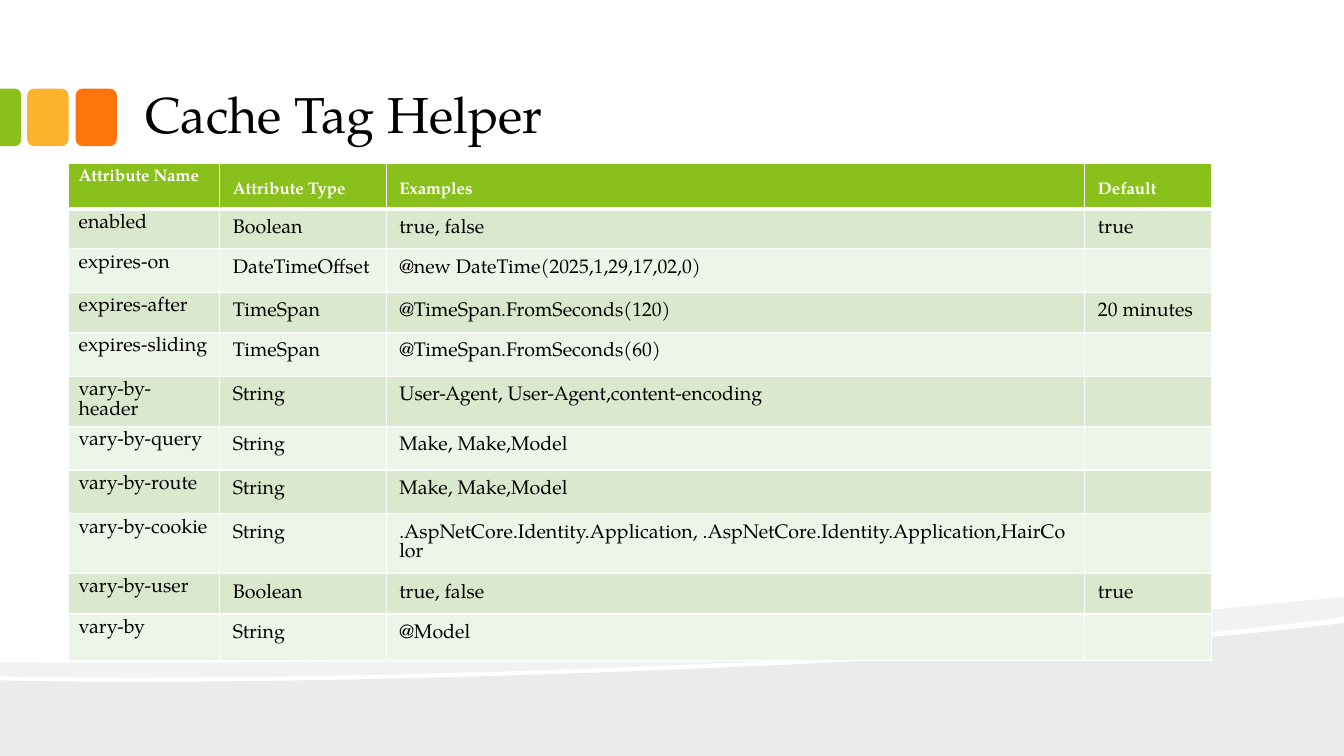
"""Build the Cache Tag Helper slide with its attribute table."""
from lxml import etree
from pptx import Presentation, util as u
from pptx.dml.color import RGBColor
from pptx.enum import shapes, text
from pptx.oxml import ns

COLORS = {"green": "89C01C", "amber": "FCB22C", "orange": "FE750E", "black": "000000",
          "white": "FFFFFF", "dark_row": "DAE8CD", "light_row": "EDF4E8"}
FONT = "TeX Gyre Pagella"
ROWS = [
    ("Attribute Name", "Attribute Type", "Examples", "Default"),
    ("enabled", "Boolean", "true, false", "true"),
    ("expires-on", "DateTimeOffset", "@new DateTime(2025,1,29,17,02,0)", ""),
    ("expires-after", "TimeSpan", "@TimeSpan.FromSeconds(120)", "20 minutes"),
    ("expires-sliding", "TimeSpan", "@TimeSpan.FromSeconds(60)", ""),
    ("vary-by-header", "String", "User-Agent, User-Agent,content-encoding", ""),
    ("vary-by-query", "String", "Make, Make,Model", ""),
    ("vary-by-route", "String", "Make, Make,Model", ""),
    ("vary-by-cookie", "String",
     ".AspNetCore.Identity.Application, .AspNetCore.Identity.Application,HairColor", ""),
    ("vary-by-user", "Boolean", "true, false", "true"),
    ("vary-by", "String", "@Model", ""),
]
COLUMN_WIDTHS = [1.5, 1.65, 6.93, 1.26]
ROW_HEIGHTS = [0.45] + [0.29] * 7 + [0.46, 0.4, 0.46]


def style_font(font, size, color, bold=False):
    """Apply the deck's typeface with a size, colour and weight."""
    for name, value in {"name": FONT, "size": u.Pt(size), "bold": bold}.items():
        setattr(font, name, value)
    font.color.rgb = RGBColor.from_string(COLORS[color])


deck = Presentation()
deck.slide_width, deck.slide_height = u.Inches(13.33), u.Inches(7.5)
page = deck.slides.add_slide(deck.slide_layouts[6])

lower_wave = [(13.33, 6.18), (13.33, 7.5), (0, 7.5), (0, 6.75),
              (3.52, 6.83), (10.42, 6.55), (13.33, 6.18)]
upper_wave = [(13.33, 5.92), (13.33, 6.12), (12.55, 6.23), (11.49, 6.33), (10.29, 6.41),
              (6.98, 6.63), (2.58, 6.77), (0, 6.71), (0, 6.57),
              (6.52, 6.62), (9.71, 6.27), (13.33, 5.92)]
for points, curve_starts, opacity in [(lower_wave, [3], 8), (upper_wave, [1, 4, 8], 5)]:
    hundredths = [(round(x * 100), round(y * 100)) for x, y in points]
    builder = page.shapes.build_freeform(*hundredths[0], scale=u.Inches(0.01))
    builder.add_line_segments(hundredths[1:], close=True)
    wave = builder.convert_to_shape()
    segments = wave._element.findall(".//" + ns.qn("a:lnTo"))
    for start in curve_starts:
        bend = etree.Element(ns.qn("a:cubicBezTo"))
        segments[start].addprevious(bend)
        for segment in segments[start:start + 3]:
            bend.append(segment[0])
            segment.getparent().remove(segment)
    wave.shadow.inherit = False
    wave.line.fill.background()
    wave.fill.solid()
    wave.fill.fore_color.rgb = RGBColor.from_string(COLORS["black"])
    color_node = wave._element.spPr.find(".//" + ns.qn("a:srgbClr"))
    etree.SubElement(color_node, ns.qn("a:alpha"), val=str(opacity * 1000))

KIND = shapes.MSO_SHAPE
for kind, place, color, rotation, adjustment in [
        (KIND.ROUNDED_RECTANGLE, (0.75, 0.88, 0.41, 0.57), "orange", 0, 0.167),
        (KIND.ROUNDED_RECTANGLE, (0.27, 0.88, 0.41, 0.57), "amber", 0, 0.167),
        (KIND.ROUND_2_SAME_RECTANGLE, (-0.18, 1.06, 0.57, 0.21), "green", 90, 0.292)]:
    tab = page.shapes.add_shape(kind, *map(u.Inches, place))
    tab.adjustments[0] = adjustment
    tab.rotation = rotation
    tab.shadow.inherit = False
    tab.fill.solid()
    tab.fill.fore_color.rgb = RGBColor.from_string(COLORS[color])
    tab.line.fill.background()

title = page.shapes.add_textbox(*map(u.Inches, (1.31, 0.59, 10.28, 0.9)))
frame = title.text_frame
for name, value in {"word_wrap": True, "vertical_anchor": text.MSO_ANCHOR.BOTTOM,
                    "margin_left": u.Inches(0.13), "margin_right": u.Inches(0.13),
                    "margin_top": u.Inches(0.07), "margin_bottom": u.Inches(0.07)}.items():
    setattr(frame, name, value)
span = frame.paragraphs[0].add_run()
span.text = "Cache Tag Helper"
style_font(span.font, 36, "black")

grid = page.shapes.add_table(len(ROWS), len(COLUMN_WIDTHS),
                             *map(u.Inches, (0.68, 1.62, 11.34, 4.83))).table
for column, width in zip(grid.columns, COLUMN_WIDTHS):
    column.width = u.Inches(width)
for row_index, (labels, height) in enumerate(zip(ROWS, ROW_HEIGHTS)):
    grid.rows[row_index].height = u.Inches(height)
    header = row_index == 0
    fill = "green" if header else "dark_row" if row_index % 2 else "light_row"
    size = 12 if header else 14
    for column_index, label in enumerate(labels):
        cell = grid.cell(row_index, column_index)
        side, end = (0.13, 0.1) if column_index else (0.1, 0.05)
        at_bottom = header and column_index
        for name, value in {
                "margin_left": u.Inches(side), "margin_right": u.Inches(side),
                "margin_top": u.Inches(end), "margin_bottom": u.Inches(end),
                "vertical_anchor": text.MSO_ANCHOR.BOTTOM if at_bottom else text.MSO_ANCHOR.TOP,
        }.items():
            setattr(cell, name, value)
        properties = cell._tc.get_or_add_tcPr()
        for edge in ("lnL", "lnR", "lnT", "lnB"):
            thick = (edge == "lnB" and header) or (edge == "lnT" and row_index == 1)
            border = etree.SubElement(properties, ns.qn("a:" + edge), w=str(u.Pt(3 if thick else 1)))
            paint = etree.SubElement(border, ns.qn("a:solidFill"))
            etree.SubElement(paint, ns.qn("a:srgbClr"), val=COLORS["white"])
        cell.fill.solid()
        cell.fill.fore_color.rgb = RGBColor.from_string(COLORS[fill])
        para = cell.text_frame.paragraphs[0]
        para.line_spacing = u.Pt(round(size * 1.015, 1))
        if label:
            span = para.add_run()
            span.text = label
            style_font(span.font, size, "white" if header else "black", header)
        else:
            etree.SubElement(para._p, ns.qn("a:endParaRPr"), sz=str(size * 100))

deck.save("out.pptx")
